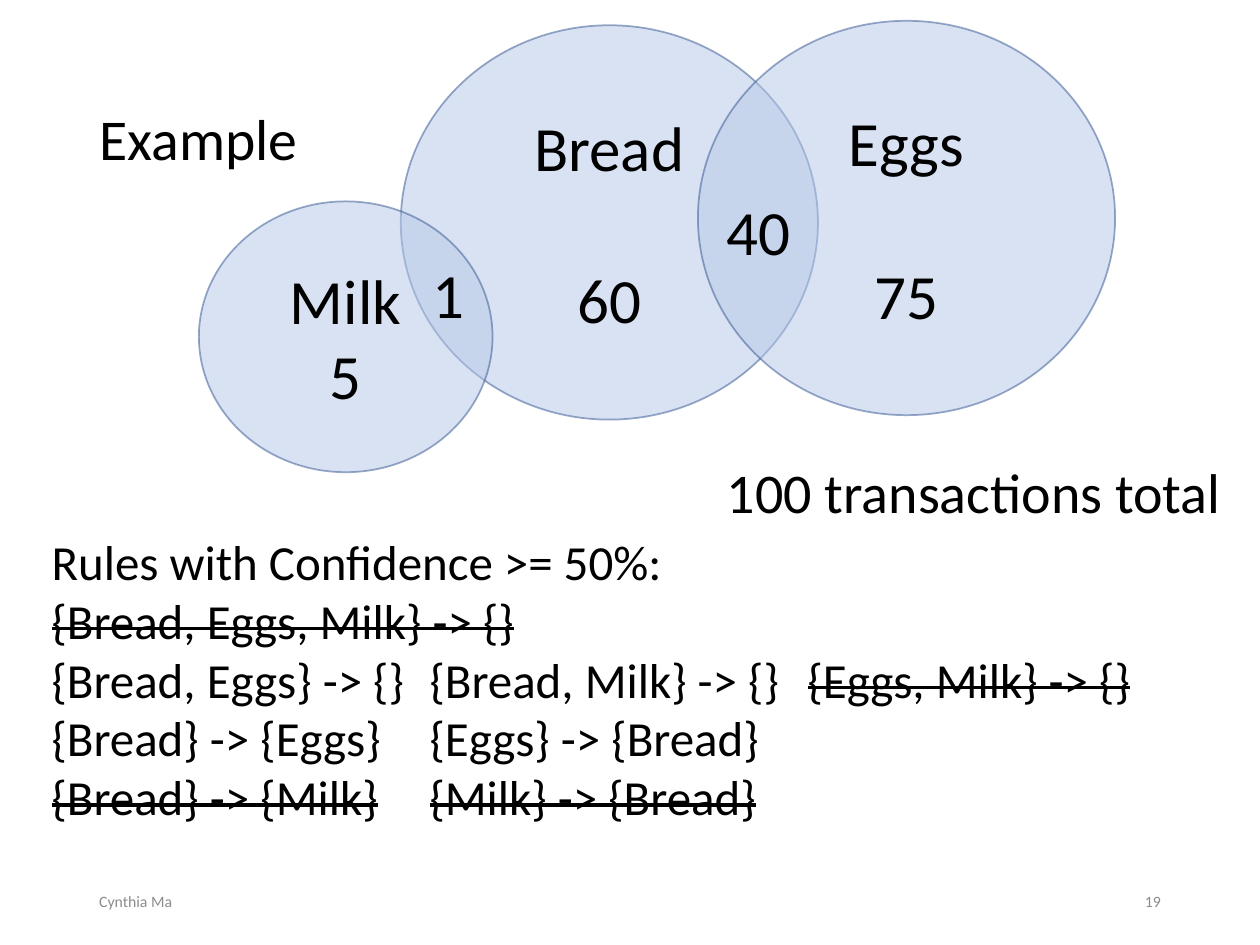
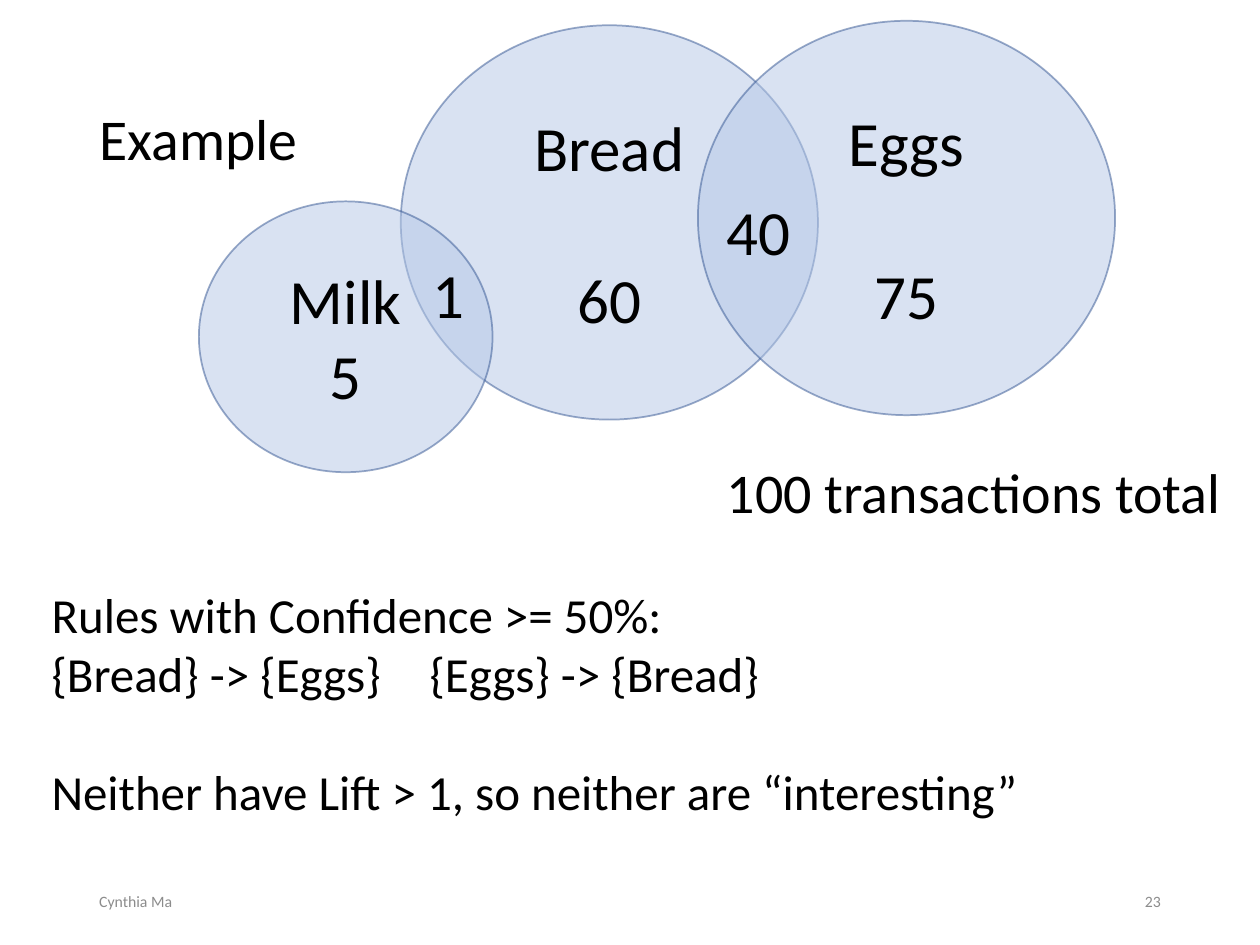
from dataclasses import dataclass

import lxml.etree
import pptx
import pptx.dml.color
import pptx.enum.shapes
import pptx.enum.text
import pptx.oxml.ns
import pptx.presentation
import pptx.shapes.autoshape
import pptx.shapes.base
import pptx.slide
import pptx.text.text
import pptx.util
from pptx.util import Cm

FONT = "Calibri"
BLACK = "000000"
FOOTER_GREY = "8C8C8C"
CIRCLE_FILL = "B4C7E7"
CIRCLE_LINE = "325491"
CIRCLE_OPACITY = 50
LINE_HEIGHT = 1.22
AUTHOR = "Cynthia Ma"
LEFT = pptx.enum.text.PP_ALIGN.LEFT
CENTER = pptx.enum.text.PP_ALIGN.CENTER
RIGHT = pptx.enum.text.PP_ALIGN.RIGHT
MIDDLE = pptx.enum.text.MSO_ANCHOR.MIDDLE
TOP = pptx.enum.text.MSO_ANCHOR.TOP


@dataclass(frozen=True)
class Box:
    left: float
    top: float
    width: float
    height: float


@dataclass(frozen=True)
class ItemCircle:
    item: str
    count: str
    box: Box
    blank_lines: int = 0


@dataclass(frozen=True)
class Label:
    text: str
    box: Box
    size: float
    align: pptx.enum.text.PP_ALIGN = LEFT
    anchor: pptx.enum.text.MSO_ANCHOR = TOP
    color: str = BLACK


@dataclass(frozen=True)
class Piece:
    text: str
    struck: bool = False


@dataclass(frozen=True)
class RuleLine:
    pieces: tuple[Piece, ...]
    blank_lines: int = 0


@dataclass(frozen=True)
class ExampleSlide:
    number: int
    rules_box: Box
    rules: tuple[RuleLine, ...]


TITLE = Label("Example", Box(1.75, 1.02, 21.9, 3.68), 33, anchor=MIDDLE)
BREAD = ItemCircle("Bread", "60", Box(8.08, 0.51, 8.41, 7.95), 1)
EGGS = ItemCircle("Eggs", "75", Box(14.07, 0.42, 8.41, 7.95), 1)
MILK = ItemCircle("Milk", "5", Box(4.01, 4.06, 5.92, 5.46))
BREAD_AND_EGGS = Label("40", Box(14.4, 3.76, 2.11, 1.8), 36)
BREAD_AND_MILK = Label("1", Box(8.46, 5.03, 2.11, 1.8), 36)
TOTAL = Label("100 transactions total", Box(14.07, 9.09, 10.8, 1.63), 32, RIGHT)
RULE_SIZE = 28
ITEM_SIZE = 36

HEADING = RuleLine((Piece("Rules with Confidence >= 50%:"),))
BREAD_EGGS_RULES = RuleLine((Piece("{Bread} -> {Eggs}\t{Eggs} -> {Bread}"),))

SLIDES = (
    ExampleSlide(
        19,
        Box(0.79, 10.59, 22.86, 6.25),
        (
            HEADING,
            RuleLine((Piece("{Bread, Eggs, Milk} -> {}", True),)),
            RuleLine((
                Piece("{Bread, Eggs} -> {}\t{Bread, Milk} -> {}\t"),
                Piece("{Eggs, Milk} -> {}", True),
            )),
            BREAD_EGGS_RULES,
            RuleLine((
                Piece("{Bread} -> {Milk}", True),
                Piece("\t"),
                Piece("{Milk} -> {Bread}", True),
            )),
        ),
    ),
    ExampleSlide(
        23,
        Box(0.79, 11.66, 22.86, 5.05),
        (
            HEADING,
            BREAD_EGGS_RULES,
            RuleLine((Piece("Neither have Lift > 1, so neither are “interesting”"),), 1),
        ),
    ),
)


def rgb(color: str) -> pptx.dml.color.RGBColor:
    return pptx.dml.color.RGBColor.from_string(color)


def place(shape: pptx.shapes.base.BaseShape, box: Box) -> None:
    shape.left, shape.top = Cm(box.left), Cm(box.top)
    shape.width, shape.height = Cm(box.width), Cm(box.height)


def format_paragraph(
    paragraph: pptx.text.text._Paragraph,
    size: float,
    align: pptx.enum.text.PP_ALIGN,
    color: str = BLACK,
    blank_lines: int = 0,
) -> None:
    paragraph.alignment = align
    if blank_lines:
        paragraph.space_before = pptx.util.Pt(round(blank_lines * size * LINE_HEIGHT))
    for run in paragraph.runs:
        run.font.name = FONT
        run.font.size = pptx.util.Pt(size)
        run.font.color.rgb = rgb(color)


def fill_label(shape: pptx.shapes.autoshape.Shape, label: Label) -> None:
    place(shape, label.box)
    frame = shape.text_frame
    frame.text = label.text
    frame.word_wrap = True
    frame.vertical_anchor = label.anchor
    format_paragraph(frame.paragraphs[0], label.size, label.align, label.color)


def add_text_box(slide: pptx.slide.Slide, box: Box) -> pptx.shapes.autoshape.Shape:
    return slide.shapes.add_textbox(
        Cm(box.left), Cm(box.top), Cm(box.width), Cm(box.height)
    )


def add_label(slide: pptx.slide.Slide, label: Label) -> None:
    fill_label(add_text_box(slide, label.box), label)


def add_title(slide: pptx.slide.Slide) -> None:
    fill_label(slide.shapes.title, TITLE)
    slide.shapes.title.text_frame.paragraphs[0].line_spacing = 0.9


def add_footer(slide: pptx.slide.Slide, number: int) -> None:
    for text, left, align in ((AUTHOR, 1.75, LEFT), (str(number), 17.93, RIGHT)):
        box = Box(left, 17.65, 5.72, 1.02)
        add_label(slide, Label(text, box, 9, align, MIDDLE, FOOTER_GREY))


def add_circle(slide: pptx.slide.Slide, circle: ItemCircle) -> None:
    box = circle.box
    shape = slide.shapes.add_shape(
        pptx.enum.shapes.MSO_SHAPE.OVAL,
        Cm(box.left), Cm(box.top), Cm(box.width), Cm(box.height),
    )
    shape.shadow.inherit = False
    shape.fill.solid()
    shape.fill.fore_color.rgb = rgb(CIRCLE_FILL)
    shape.line.color.rgb = rgb(CIRCLE_LINE)
    shape.line.width = pptx.util.Pt(1)
    for color in shape._element.spPr.iter(pptx.oxml.ns.qn("a:srgbClr")):
        alpha = lxml.etree.SubElement(color, pptx.oxml.ns.qn("a:alpha"))
        alpha.set("val", str(CIRCLE_OPACITY * 1000))
    frame = shape.text_frame
    frame.text = f"{circle.item}\n{circle.count}"
    frame.word_wrap = True
    frame.vertical_anchor = MIDDLE
    item, count = frame.paragraphs
    format_paragraph(item, ITEM_SIZE, CENTER)
    format_paragraph(count, ITEM_SIZE, CENTER, blank_lines=circle.blank_lines)


def add_rules(slide: pptx.slide.Slide, box: Box, rules: tuple[RuleLine, ...]) -> None:
    frame = add_text_box(slide, box).text_frame
    frame.word_wrap = True
    for index, rule in enumerate(rules):
        paragraph = frame.add_paragraph() if index else frame.paragraphs[0]
        for piece in rule.pieces:
            run = paragraph.add_run()
            run.text = piece.text
            if piece.struck:
                run._r.get_or_add_rPr().set("strike", "sngStrike")
        format_paragraph(paragraph, RULE_SIZE, LEFT, blank_lines=rule.blank_lines)


def add_example(
    presentation: pptx.presentation.Presentation, example: ExampleSlide
) -> None:
    layout = presentation.slide_layouts.get_by_name("Title Only")
    slide = presentation.slides.add_slide(layout)
    add_title(slide)
    add_footer(slide, example.number)
    for circle in (BREAD, EGGS, MILK):
        add_circle(slide, circle)
    for label in (BREAD_AND_EGGS, BREAD_AND_MILK, TOTAL):
        add_label(slide, label)
    add_rules(slide, example.rules_box, example.rules)


def main() -> None:
    presentation = pptx.Presentation()
    presentation.slide_width = Cm(25.4)
    presentation.slide_height = Cm(19.05)
    for example in SLIDES:
        add_example(presentation, example)
    presentation.save("out.pptx")


if __name__ == "__main__":
    main()
